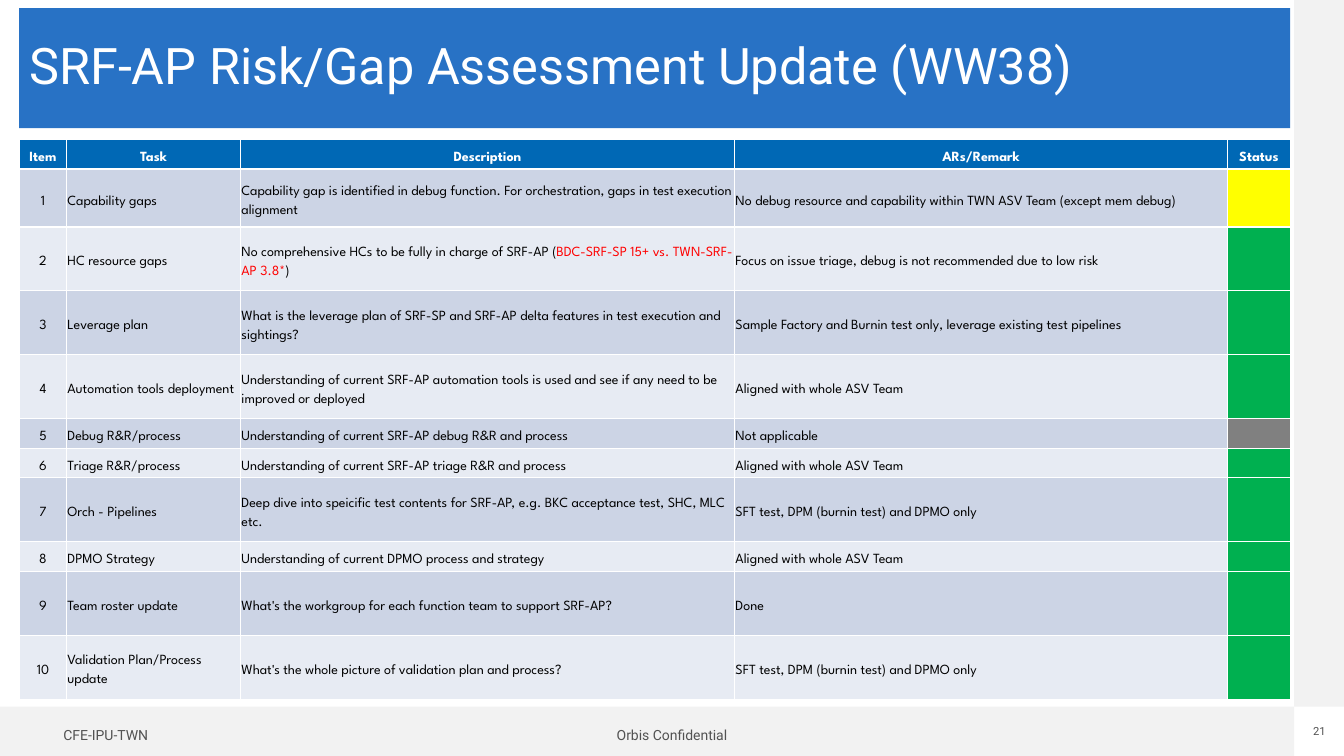
"""Build the SRF-AP risk and gap assessment slide."""
from dataclasses import dataclass

from lxml.etree import SubElement
from pptx import Presentation
from pptx.dml.color import RGBColor
from pptx.enum.shapes import MSO_SHAPE
from pptx.enum.text import MSO_ANCHOR, MSO_AUTO_SIZE, PP_ALIGN
from pptx.oxml.ns import qn
from pptx.util import Pt


@dataclass(frozen=True)
class Theme:
    title_font: str = "Roboto"
    table_font: str = "League Spartan"
    title_size: int = 36
    body_size: int = 10
    number_size: int = 8
    title_fill: str = "2872C5"
    header_fill: str = "0068B5"
    bands: tuple = ("CCD4E5", "E7EBF3")
    margin_fill: str = "F2F2F2"
    footer_color: str = "525252"
    white: str = "FFFFFF"
    black: str = "000000"
    red: str = "FF0000"
    yellow: str = "FFFF00"
    green: str = "00B050"
    gray: str = "808080"


THEME = Theme()

HEADERS = ("Item", "Task", "Description", "ARs/Remark", "Status")
COLUMN_WIDTHS = (33.6, 124.3, 352.9, 352.1, 44.9)
HEADER_HEIGHT = LOW = 21.1
MIDDLE = 41.4
HIGH = 45.7
HIGHLIGHT = "BDC-SRF-SP 15+ vs. TWN-SRF-AP 3.8*"
ALIGNED = "Aligned with whole ASV Team"
TESTS_ONLY = "SFT test, DPM (burnin test) and DPMO only"

TASKS = (
    (MIDDLE, THEME.yellow, "Capability gaps",
     "Capability gap is identified in debug function. For orchestration, gaps in test execution alignment",
     "No debug resource and capability within TWN ASV Team (except mem debug)"),
    (HIGH, THEME.green, "HC resource gaps",
     f"No comprehensive HCs to be fully in charge of SRF-AP ({HIGHLIGHT})",
     "Focus on issue triage, debug is not recommended due to low risk"),
    (HIGH, THEME.green, "Leverage plan",
     "What is the leverage plan of SRF-SP and SRF-AP delta features in test execution and sightings?",
     "Sample Factory and Burnin test only, leverage existing test pipelines"),
    (HIGH, THEME.green, "Automation tools deployment",
     "Understanding of current SRF-AP automation tools is used and see if any need to be improved or deployed",
     ALIGNED),
    (LOW, THEME.gray, "Debug R&R/process",
     "Understanding of current SRF-AP debug R&R and process", "Not applicable"),
    (LOW, THEME.green, "Triage R&R/process",
     "Understanding of current SRF-AP triage R&R and process", ALIGNED),
    (HIGH, THEME.green, "Orch - Pipelines",
     "Deep dive into speicific test contents for SRF-AP, e.g. BKC acceptance test, SHC, MLC etc.",
     TESTS_ONLY),
    (LOW, THEME.green, "DPMO Strategy",
     "Understanding of current DPMO process and strategy", ALIGNED),
    (HIGH, THEME.green, "Team roster update",
     "What's the workgroup for each function team to support SRF-AP?", "Done"),
    (HIGH, THEME.green, "Validation Plan/Process update",
     "What's the whole picture of validation plan and process?", TESTS_ONLY),
)


def paint(target, color):
    target.fill.solid()
    target.fill.fore_color.rgb = RGBColor.from_string(color)


def write_text(frame, text, *, font, size, color, bold=False,
               align=PP_ALIGN.LEFT, spacing=0.9, highlight=None):
    paragraph = frame.paragraphs[0]
    paragraph.alignment = align
    paragraph.line_spacing = spacing
    if highlight and highlight in text:
        before, marked, after = text.partition(highlight)
        pieces = ((before, color), (marked, THEME.red), (after, color))
    else:
        pieces = ((text, color),)
    for piece, piece_color in pieces:
        run = paragraph.add_run()
        run.text = piece
        run.font.name = font
        run.font.size = Pt(size)
        run.font.bold = bold
        run.font.color.rgb = RGBColor.from_string(piece_color)


class SlideBuilder:
    def __init__(self, presentation, theme):
        self.theme = theme
        self.slide = presentation.slides.add_slide(presentation.slide_layouts[5])

    def add_title(self, text, left, top, width, height):
        title = self.slide.shapes.title
        title.left, title.top = Pt(left), Pt(top)
        title.width, title.height = Pt(width), Pt(height)
        paint(title, self.theme.title_fill)
        title.text_frame.auto_size = MSO_AUTO_SIZE.NONE
        title.text_frame.vertical_anchor = MSO_ANCHOR.MIDDLE
        write_text(title.text_frame, text, font=self.theme.title_font,
                   size=self.theme.title_size, color=self.theme.white)

    def add_band(self, left, top, width, height):
        band = self.slide.shapes.add_shape(
            MSO_SHAPE.RECTANGLE, Pt(left), Pt(top), Pt(width), Pt(height))
        band.shadow.inherit = False
        band.line.fill.background()
        paint(band, self.theme.margin_fill)

    def add_label(self, text, left, top, width, height, *, size,
                  align=PP_ALIGN.CENTER, inset=True):
        label = self.slide.shapes.add_textbox(Pt(left), Pt(top), Pt(width), Pt(height))
        frame = label.text_frame
        frame.word_wrap = False
        frame.auto_size = MSO_AUTO_SIZE.SHAPE_TO_FIT_TEXT
        if not inset:
            frame.margin_left = frame.margin_right = 0
            frame.margin_top = frame.margin_bottom = 0
        write_text(frame, text, font=self.theme.title_font, size=size,
                   color=self.theme.footer_color, align=align)

    def fill_cell(self, cell, text, fill, *, color, bold=False, align=PP_ALIGN.LEFT):
        paint(cell, fill)
        cell.vertical_anchor = MSO_ANCHOR.MIDDLE
        cell.margin_left = cell.margin_right = cell.margin_top = Pt(0.7)
        cell.margin_bottom = 0
        if text:
            write_text(cell.text_frame, text, font=self.theme.table_font,
                       size=self.theme.body_size, color=color, bold=bold,
                       align=align, spacing=1.5, highlight=HIGHLIGHT)
        else:
            end = SubElement(cell.text_frame.paragraphs[0]._p, qn("a:endParaRPr"))
            end.set("sz", str(self.theme.body_size * 100))

    def add_task_table(self, left, top):
        theme = self.theme
        heights = [HEADER_HEIGHT] + [task[0] for task in TASKS]
        table = self.slide.shapes.add_table(
            len(heights), len(HEADERS), Pt(left), Pt(top),
            Pt(sum(COLUMN_WIDTHS)), Pt(sum(heights))).table
        for column, width in zip(table.columns, COLUMN_WIDTHS):
            column.width = Pt(width)
        for row, height in zip(table.rows, heights):
            row.height = Pt(height)
        for cell, header in zip(table.rows[0].cells, HEADERS):
            self.fill_cell(cell, header, theme.header_fill, color=theme.white,
                           bold=True, align=PP_ALIGN.CENTER)
        for number, (_, status, *texts) in enumerate(TASKS, 1):
            band = theme.bands[(number - 1) % 2]
            item, *details, status_cell = table.rows[number].cells
            self.fill_cell(item, str(number), band, color=theme.black,
                           align=PP_ALIGN.CENTER)
            for cell, text in zip(details, texts):
                self.fill_cell(cell, text, band, color=theme.black)
            self.fill_cell(status_cell, "", status, color=theme.black)


def main():
    presentation = Presentation()
    presentation.slide_width, presentation.slide_height = Pt(960), Pt(540)
    builder = SlideBuilder(presentation, THEME)
    builder.add_band(0, 504.7, 924.5, 35.3)
    builder.add_band(924.5, 0, 35.5, 504.7)
    builder.add_label("Orbis Confidential", 433.2, 517, 93.6, 18, size=THEME.body_size)
    builder.add_label("CFE-IPU-TWN", 38.2, 517, 79.2, 18,
                      size=THEME.body_size, align=PP_ALIGN.LEFT)
    builder.add_label("21", 937.4, 518.4, 10, 9.4, size=THEME.number_size, inset=False)
    builder.add_task_table(13.9, 99.6)
    builder.add_title("SRF-AP Risk/Gap Assessment Update (WW38)", 13.7, 5.8, 907.9, 85.7)
    presentation.save("out.pptx")


if __name__ == "__main__":
    main()
